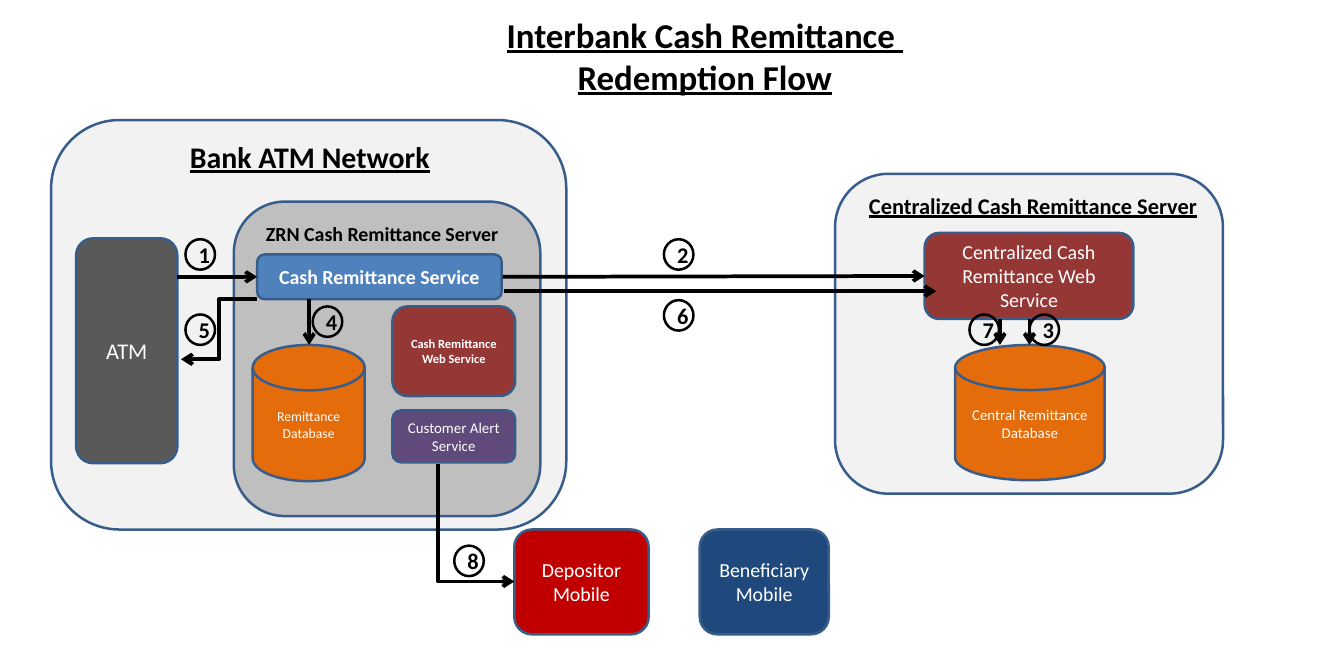
import pptx
import pptx.util
import pptx.dml.color
import pptx.enum.shapes
import pptx.enum.text
import pptx.oxml
import pptx.oxml.ns

COLS, ROWS = 150, 75
THEME = dict(
    font="Calibri", edge="385D8A", ink="000000", white="FFFFFF",
    pale="F2F2F2", gray="BFBFBF", dark="595959", blue="4F81BD",
    orange="E46C0A", plum="604A7B", brick="953735", red="C00000", navy="1F497D",
    title=28, head=24, large=18, body=16, small=12, mini=11, tiny=10,
    rim=2, arrow=3, round=0.167,
)
TITLE = ["Interbank Cash Remittance ", "Redemption Flow"]
TITLE_BOX = (55.5, 1, 46.3, 10.4)

BOXES = [
    ("round", (5.7, 13.4, 57.5, 45.7), "pale", "", "body", False),
    ("round", (8.5, 26.6, 11.3, 25.1), "dark", "ATM", "large", False),
    ("round", (26.1, 22.5, 34.2, 35.1), "gray", "", "body", False),
    ("round", (28.7, 28.4, 27.3, 5), "blue", "Cash Remittance Service", "body", True),
    ("disk", (28.2, 38.5, 12.5, 15.2), "orange", "Remittance Database", "mini", False),
    ("round", (43.8, 45.8, 13.7, 5.8), "plum", "Customer Alert Service", "small", False),
    ("round", (43.8, 34.2, 13.7, 10), "brick", "Cash Remittance Web Service", "tiny", True),
    ("round", (93.2, 19.4, 43.3, 35.7), "pale", "", "body", False),
    ("round", (103.2, 26, 23.3, 9.6), "brick", "Centralized Cash Remittance Web Service", "body", False),
    ("disk", (106.6, 38.5, 16.7, 15.1), "orange", "Central Remittance Database", "small", False),
    ("round", (57.4, 59.1, 15, 11.7), "red", "Depositor Mobile", "body", False),
    ("round", (78.1, 59.1, 14.4, 11.7), "navy", "Beneficiary Mobile", "body", False),
]
LABELS = [
    ((20.2, 15, 29.1, 5), "Bank ATM Network", "head", True),
    ((28.7, 24.2, 28.1, 3.7), "ZRN Cash Remittance Server", "body", False),
    ((96, 20.9, 38.8, 4), "Centralized Cash Remittance Server", "large", True),
]
ARROWS = [
    ((19.8, 30.9), (28.7, 30.9)),
    ((34.5, 33.4), (34.5, 38.5)),
    ((56.1, 30.9), (103.2, 30.8)),
    ((56.2, 32.5), (104.5, 32.5)),
    ((114.9, 35.6), (114.9, 38.5)),
    ((111.6, 35.6), (111.6, 38.5)),
]
REPLY = ((28.7, 33.4), (20.2, 40.1))
ALERT = ((48.9, 51.8), (57.4, 64.9))
STEP = (3.3, 3.4)
STEPS = [(20.7, 26.7), (74.1, 26.7), (114.9, 35.1), (34.9, 34.2),
         (20.7, 35.1), (74.1, 33.5), (108.2, 35.1), (50.7, 60.9)]

KIND = pptx.enum.shapes.MSO_SHAPE
LINK = pptx.enum.shapes.MSO_CONNECTOR
FORM = {"round": KIND.ROUNDED_RECTANGLE, "disk": KIND.FLOWCHART_MAGNETIC_DISK,
        "oval": KIND.OVAL}
ALIGN = pptx.enum.text.PP_ALIGN
ANCHOR = pptx.enum.text.MSO_ANCHOR
FIT = pptx.enum.text.MSO_AUTO_SIZE

deck = pptx.Presentation()
deck.slide_width = pptx.util.Inches(15)
deck.slide_height = pptx.util.Inches(7.5)
slide = deck.slides.add_slide(deck.slide_layouts[5])


def grid(*spans):
    cell = deck.slide_width / COLS, deck.slide_height / ROWS
    return [round(span * cell[i % 2]) for i, span in enumerate(spans)]


def tint(name):
    return pptx.dml.color.RGBColor.from_string(THEME[name])


def write(shape, lines, size="body", color="ink", bold=False, under=False,
          align=ALIGN.CENTER, anchor=ANCHOR.MIDDLE, wrap=True, fit=FIT.NONE):
    frame = shape.text_frame
    frame.text = "\n".join(lines)
    frame.word_wrap, frame.auto_size = wrap, fit
    frame.vertical_anchor = anchor
    for para in frame.paragraphs:
        para.alignment = align
        for run in para.runs:
            font = run.font
            font.name, font.size = THEME["font"], pptx.util.Pt(THEME[size])
            font.bold, font.underline = bold, under
            font.color.rgb = tint(color)


def draw(form, box, fill=None, edge="edge"):
    shape = slide.shapes.add_shape(FORM[form], *grid(*box))
    shape.shadow.inherit = False
    if form == "round":
        shape.adjustments[0] = THEME["round"]
    if fill:
        shape.fill.solid()
        shape.fill.fore_color.rgb = tint(fill)
    else:
        shape.fill.background()
    shape.line.color.rgb = tint(edge)
    shape.line.width = pptx.util.Pt(THEME["rim"])
    return shape


def join(start, end, kind=LINK.STRAIGHT):
    link = slide.shapes.add_connector(kind, *grid(*start, *end))
    link.line.color.rgb = tint("ink")
    link.line.width = pptx.util.Pt(THEME["arrow"])
    props = link._element.spPr
    tail = pptx.oxml.parse_xml(
        f'<a:tailEnd {pptx.oxml.ns.nsdecls("a")} type="arrow"/>')
    props.find(pptx.oxml.ns.qn("a:ln")).append(tail)
    props.append(pptx.oxml.parse_xml(
        f'<a:effectLst {pptx.oxml.ns.nsdecls("a")}/>'))
    return link


def drop(start, end):
    (x1, y1), (x2, y2) = start, end
    midx, midy = (x1 + x2) / 2, (y1 + y2) / 2
    wide, high = (y2 - y1) / 2, (x2 - x1) / 2
    link = join((midx + wide, midy - high), (midx - wide, midy + high), LINK.ELBOW)
    props = link._element.spPr
    props.find(pptx.oxml.ns.qn("a:xfrm")).set("rot", str(270 * 60000))
    props.find(pptx.oxml.ns.qn("a:prstGeom")).set("prst", "bentConnector2")


title = slide.shapes.title
title.left, title.top, title.width, title.height = grid(*TITLE_BOX)
write(title, TITLE, size="title", bold=True, under=True, anchor=ANCHOR.TOP,
      wrap=False, fit=FIT.SHAPE_TO_FIT_TEXT)

for form, box, fill, text, size, bold in BOXES:
    shape = draw(form, box, fill)
    if text:
        write(shape, [text], size=size, color="white", bold=bold)

for box, text, size, under in LABELS:
    write(slide.shapes.add_textbox(*grid(*box)), [text], size=size, bold=True,
          under=under, align=ALIGN.LEFT, anchor=ANCHOR.TOP, wrap=False,
          fit=FIT.SHAPE_TO_FIT_TEXT)

for start, end in ARROWS:
    join(start, end)
join(*REPLY, LINK.ELBOW)
drop(*ALERT)

for count, spot in enumerate(STEPS, 1):
    write(draw("oval", spot + STEP, edge="ink"), [str(count)], size="large", bold=True)

deck.save("out.pptx")
